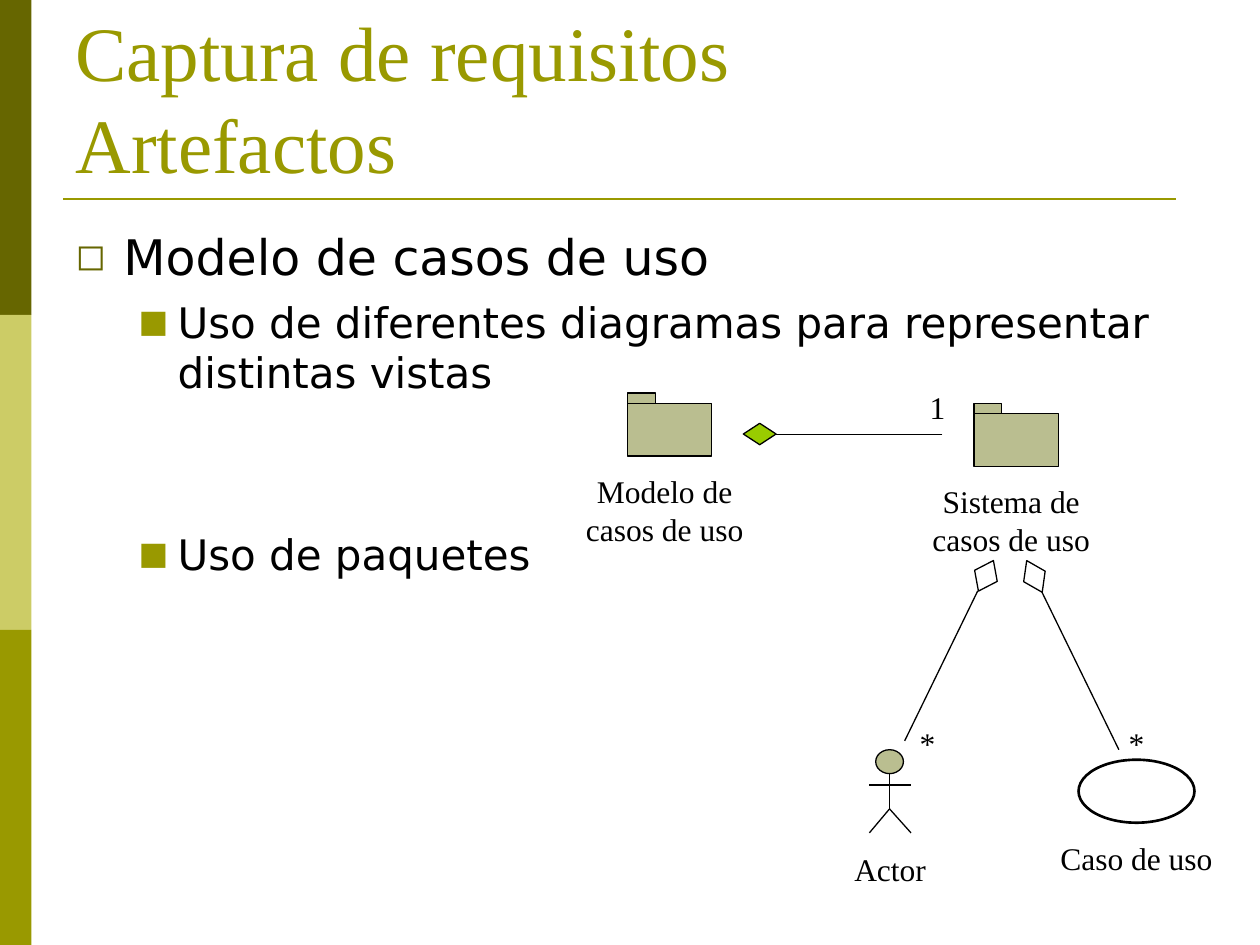
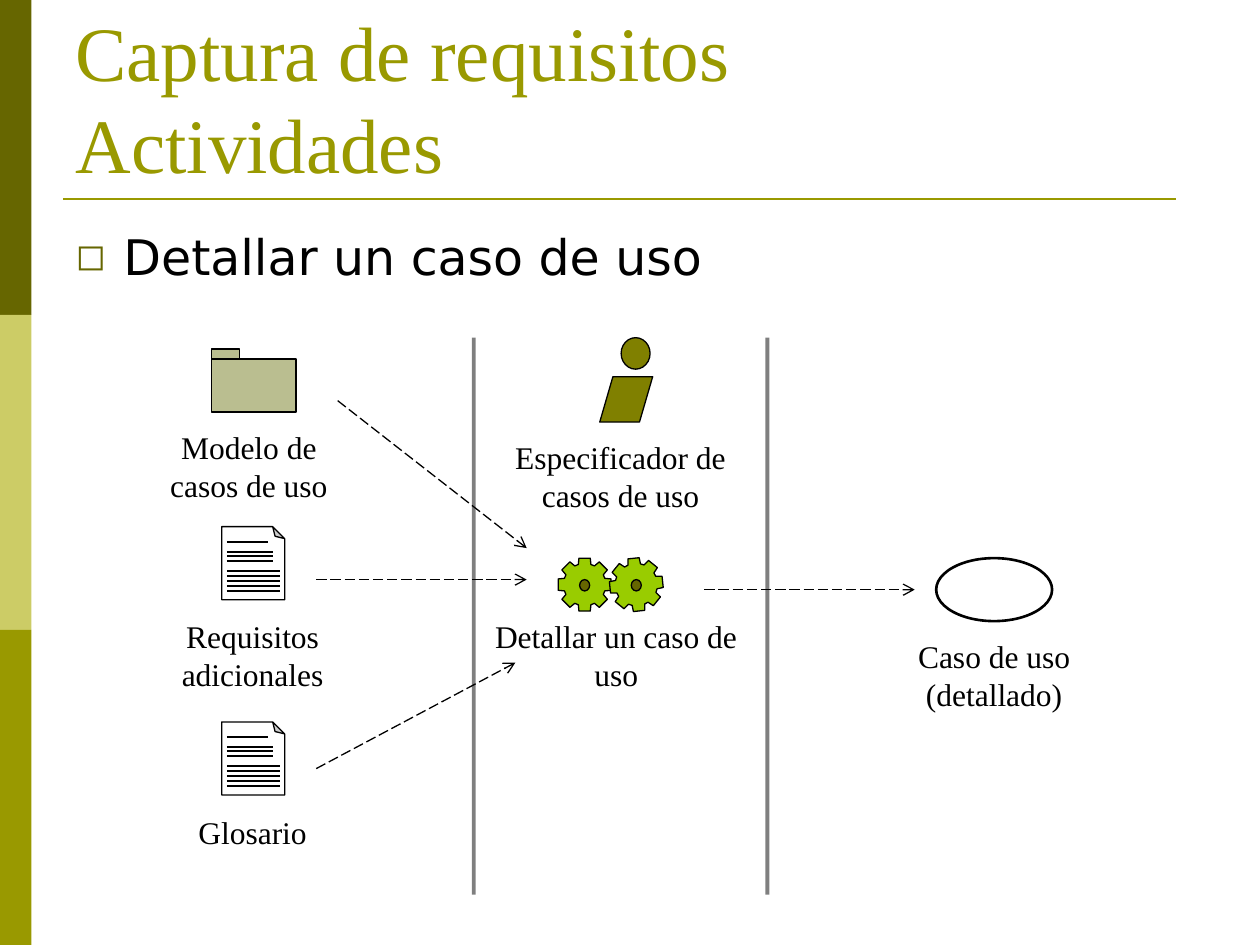
from dataclasses import dataclass
from math import cos, radians, sin

from pptx import Presentation
from pptx import util as u
from pptx.dml.color import RGBColor
from pptx.enum import dml, shapes, text
from pptx.oxml import ns
from pptx.oxml import xmlchemy as xml

# Shared look
OLIVE = RGBColor(0x99, 0x99, 0x00)
DARK_OLIVE = RGBColor(0x66, 0x66, 0x00)
PALE_OLIVE = RGBColor(0xCC, 0xCC, 0x66)
KHAKI = RGBColor(0xBA, 0xBE, 0x90)
WORKER = RGBColor(0x80, 0x80, 0x00)
GREEN = RGBColor(0x99, 0xCC, 0x00)
BLACK = RGBColor(0, 0, 0)
WHITE = RGBColor(0xFF, 0xFF, 0xFF)

SERIF = "Times New Roman"
SANS = "DejaVu Sans"
EMU_PER_PX = 9144  # 100 px to the inch
SHAPE = shapes.MSO_SHAPE


def px(length: float) -> u.Emu:
    return u.Emu(round(length * EMU_PER_PX))


@dataclass(frozen=True)
class Box:
    x: int
    y: int
    w: int
    h: int

    def emu(self) -> list[u.Emu]:
        return [px(length) for length in (self.x, self.y, self.w, self.h)]


@dataclass(frozen=True)
class Label:
    text: str
    box: Box


@dataclass(frozen=True)
class Link:
    x1: int
    y1: int
    x2: int
    y2: int
    color: RGBColor = BLACK
    width: float = 0.75
    arrow: bool = False
    alpha: int = 100


@dataclass(frozen=True)
class Diamond:
    box: Box
    rotation: float = 0
    fill: RGBColor | None = None


@dataclass(frozen=True)
class Level:
    size: int
    space_before: int
    indent: int
    hanging: int
    bullet: str
    bullet_color: RGBColor


@dataclass(frozen=True)
class Item:
    text: str
    level: int = 0
    space_before: int | None = None


TITLE_BOX = Box(50, 30, 900, 125)
BODY_BOX = Box(50, 175, 900, 495)
BAND_COLORS = (DARK_OLIVE, PALE_OLIVE, OLIVE)
TITLE_RULE = Link(50, 158, 933, 158, OLIVE, 1.5)
LEVELS = (
    Level(28, 7, 38, 38, "◻", DARK_OLIVE),
    Level(24, 6, 81, 31, "■", OLIVE),
)


# Basic drawing
def add_child(parent, tag: str, **attributes: str):
    child = xml.OxmlElement(tag)
    for name, value in attributes.items():
        child.set(name, value)
    parent.append(child)
    return child


def style_shape(shape, fill: RGBColor | None, line_width: float) -> None:
    shape.shadow.inherit = False
    if fill is None:
        shape.fill.background()
    else:
        shape.fill.solid()
        shape.fill.fore_color.rgb = fill
    if line_width:
        shape.line.color.rgb = BLACK
        shape.line.width = u.Pt(line_width)
    else:
        shape.line.fill.background()


def draw_shape(slide, kind, box: Box, fill: RGBColor | None = None,
               line_width: float = 0.75):
    shape = slide.shapes.add_shape(kind, *box.emu())
    style_shape(shape, fill, line_width)
    return shape


def set_adjustment(shape, share: float) -> None:
    guides = shape._element.spPr.find(".//" + ns.qn("a:avLst"))
    for guide in list(guides):
        guides.remove(guide)
    add_child(guides, "a:gd", name="adj", fmla=f"val {round(share * 100000)}")


def draw_link(slide, link: Link) -> None:
    connector = slide.shapes.add_connector(
        shapes.MSO_CONNECTOR.STRAIGHT,
        px(link.x1), px(link.y1), px(link.x2), px(link.y2))
    line = connector.line
    line.color.rgb = link.color
    line.width = u.Pt(link.width)
    properties = connector._element.spPr
    outline = properties.find(ns.qn("a:ln"))
    if link.alpha < 100:
        color = outline.find(".//" + ns.qn("a:srgbClr"))
        add_child(color, "a:alpha", val=str(link.alpha * 1000))
    if link.arrow:
        line.dash_style = dml.MSO_LINE.LONG_DASH
        add_child(outline, "a:tailEnd", type="arrow", w="med", len="med")
    add_child(properties, "a:effectLst")


def add_run(paragraph, words: str, font: str, size: int, color: RGBColor) -> None:
    run = paragraph.add_run()
    run.text = words
    run.font.name = font
    run.font.size = u.Pt(size)
    run.font.color.rgb = color


def draw_label(slide, label: Label) -> None:
    frame = slide.shapes.add_textbox(*label.box.emu()).text_frame
    frame.word_wrap = True
    paragraph = frame.paragraphs[0]
    paragraph.alignment = text.PP_ALIGN.CENTER
    add_run(paragraph, label.text, SERIF, 18, BLACK)


# Title, list and side bands
def place_frame(placeholder, box: Box, anchor):
    placeholder.left, placeholder.top, placeholder.width, placeholder.height = box.emu()
    frame = placeholder.text_frame
    frame.auto_size = text.MSO_AUTO_SIZE.NONE
    frame.word_wrap = True
    frame.vertical_anchor = anchor
    return frame


def format_item(paragraph, item: Item) -> None:
    level = LEVELS[item.level]
    paragraph.level = item.level
    paragraph.alignment = text.PP_ALIGN.LEFT
    paragraph.space_before = u.Pt(item.space_before or level.space_before)
    properties = paragraph._p.get_or_add_pPr()
    properties.set("marL", str(px(level.indent)))
    properties.set("indent", str(px(-level.hanging)))
    color = add_child(properties, "a:buClr")
    add_child(color, "a:srgbClr", val=str(level.bullet_color))
    add_child(properties, "a:buSzPct", val="75000")
    add_child(properties, "a:buFont", typeface=SANS)
    add_child(properties, "a:buChar", char=level.bullet)
    add_run(paragraph, item.text, SANS, level.size, BLACK)


def start_slide(presentation, subtitle: str, items: list[Item]):
    slide = presentation.slides.add_slide(presentation.slide_layouts[1])
    for row, color in enumerate(BAND_COLORS):
        draw_shape(slide, SHAPE.RECTANGLE, Box(0, 250 * row, 25, 250), color, 0)
    draw_link(slide, TITLE_RULE)

    title = place_frame(slide.shapes.title, TITLE_BOX, text.MSO_ANCHOR.BOTTOM)
    paragraph = title.paragraphs[0]
    paragraph.alignment = text.PP_ALIGN.LEFT
    add_run(paragraph, "Captura de requisitos", SERIF, 44, OLIVE)
    paragraph.add_line_break()
    add_run(paragraph, subtitle, SERIF, 44, OLIVE)

    body = place_frame(slide.placeholders[1], BODY_BOX, text.MSO_ANCHOR.TOP)
    for number, item in enumerate(items):
        format_item(body.add_paragraph() if number else body.paragraphs[0], item)
    return slide


# UML symbols
def draw_package(slide, x: int, y: int, name: str) -> None:
    draw_shape(slide, SHAPE.RECTANGLE, Box(x, y, 67, 42), KHAKI)
    draw_shape(slide, SHAPE.RECTANGLE, Box(x, y - 8, 22, 8), KHAKI)
    draw_label(slide, Label(name, Box(x - 58, y + 50, 175, 70)))


def draw_use_case(slide, x: int, y: int, name: str) -> None:
    draw_shape(slide, SHAPE.OVAL, Box(x, y, 92, 50), line_width=1.5)
    draw_label(slide, Label(name, Box(x - 25, y + 58, 142, 40)))


def draw_actor(slide, x: int, y: int) -> None:
    draw_shape(slide, SHAPE.OVAL, Box(x - 11, y, 22, 19), KHAKI)
    draw_link(slide, Link(x, y + 19, x, y + 47))
    draw_link(slide, Link(x - 16, y + 28, x + 17, y + 28))
    for foot in (x - 16, x + 17):
        draw_link(slide, Link(x, y + 47, foot, y + 66))
    draw_label(slide, Label("Actor", Box(x - 66, y + 75, 133, 40)))


def draw_document(slide, x: int, y: int, name: str) -> None:
    page = draw_shape(slide, SHAPE.FOLDED_CORNER, Box(x, y, 50, 58), WHITE)
    set_adjustment(page, 0.19)
    page._element.spPr.find(ns.qn("a:xfrm")).set("flipV", "1")
    for width, rows in ((33, (12,)), (37, (20, 23, 27)), (42, range(35, 52, 4))):
        for row in rows:
            draw_link(slide, Link(x + 4, y + row, x + 4 + width, y + row, width=1.25))
    draw_label(slide, Label(name, Box(x - 42, y + 67, 133, 70)))


def draw_gear(slide, x: int, y: int, turn: int) -> None:
    root, tip = 16, 21
    tooth = ((-5, root), (-4.5, tip), (4.5, tip), (5, root))
    points = []
    for step in range(8):
        angle = radians(turn + 45 * step)
        points += [(px(x + side * cos(angle) + reach * sin(angle)),
                    px(y + side * sin(angle) - reach * cos(angle)))
                   for side, reach in tooth]
    builder = slide.shapes.build_freeform(*points[0])
    builder.add_line_segments(points[1:], close=True)
    style_shape(builder.convert_to_shape(), GREEN, 0.75)
    draw_shape(slide, SHAPE.OVAL, Box(x - 4, y - 4, 8, 9), DARK_OLIVE)


def draw_worker(slide, x: int, y: int) -> None:
    body = draw_shape(slide, SHAPE.PARALLELOGRAM, Box(x, y + 31, 42, 36), WORKER)
    set_adjustment(body, 0.29)
    draw_shape(slide, SHAPE.OVAL, Box(x + 17, y, 23, 25), WORKER)


# Slides
def build_artifacts(presentation) -> None:
    slide = start_slide(presentation, "Artefactos", [
        Item("Modelo de casos de uso"),
        Item("Uso de diferentes diagramas para representar distintas vistas", 1),
        Item("Uso de paquetes", 1, space_before=75),
    ])
    draw_actor(slide, 706, 595)
    draw_package(slide, 498, 320, "Modelo de casos de uso")
    draw_use_case(slide, 856, 603, "Caso de uso")
    draw_package(slide, 773, 328, "Sistema de casos de uso")
    for link in (Link(718, 588, 776, 469), Link(748, 345, 616, 345),
                 Link(888, 595, 827, 470)):
        draw_link(slide, link)
    for diamond in (Diamond(Box(769, 447, 27, 20), 296.1),
                    Diamond(Box(590, 336, 26, 17), fill=GREEN),
                    Diamond(Box(807, 448, 28, 19), 63.9)):
        shape = draw_shape(slide, SHAPE.DIAMOND, diamond.box, diamond.fill)
        shape.rotation = diamond.rotation
    for mark, x, y in (("1", 723, 303), ("*", 715, 570), ("*", 881, 570)):
        draw_label(slide, Label(mark, Box(x, y, 42, 40)))


def build_activities(presentation) -> None:
    slide = start_slide(presentation, "Actividades", [Item("Detallar un caso de uso")])
    draw_worker(slide, 476, 268)
    draw_label(slide, Label("Especificador de casos de uso", Box(384, 343, 217, 70)))
    for x in (376, 609):
        draw_link(slide, Link(x, 268, x, 710, width=2.25, alpha=50))
    draw_gear(slide, 464, 464, 0)
    draw_gear(slide, 505, 464, -6)
    draw_label(slide, Label("Detallar un caso de uso", Box(368, 485, 242, 70)))
    draw_package(slide, 168, 285, "Modelo de casos de uso")
    draw_document(slide, 176, 418, "Requisitos adicionales")
    draw_document(slide, 176, 573, "Glosario")
    for ends in ((559, 468, 726, 468), (268, 318, 418, 435),
                 (251, 460, 418, 460), (251, 610, 409, 526)):
        draw_link(slide, Link(*ends, arrow=True))
    draw_use_case(slide, 743, 443, "Caso de uso (detallado)")


def main() -> None:
    presentation = Presentation()
    presentation.slide_width, presentation.slide_height = px(1000), px(750)
    build_artifacts(presentation)
    build_activities(presentation)
    presentation.save("out.pptx")


if __name__ == "__main__":
    main()
